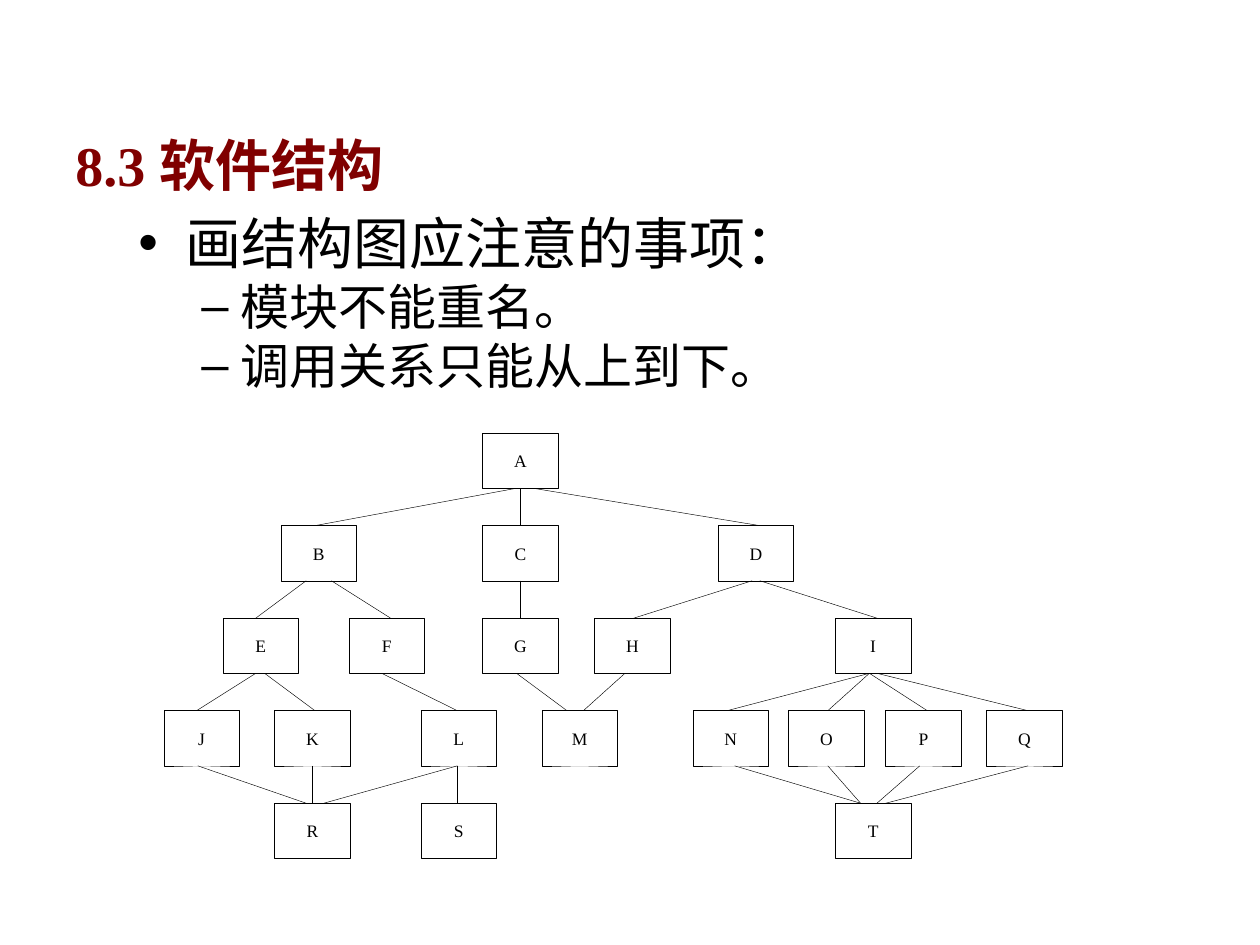
from lxml.etree import SubElement
from pptx import Presentation
from pptx.dml.color import RGBColor
from pptx.enum.shapes import MSO_CONNECTOR, MSO_SHAPE
from pptx.enum.text import MSO_ANCHOR, PP_ALIGN
from pptx.oxml.ns import qn
from pptx.util import Inches, Pt

# Content
TITLE = "8.3 软件结构"
POINTS = [  # text, level
    ("画结构图应注意的事项：", 0),
    ("模块不能重名。", 1),
    ("调用关系只能从上到下。", 1),
]
LEVELS = [  # all sizes and indents in points
    {"bullet": "•", "size": 32, "margin": 27, "hang": 27, "before": 8},
    {"bullet": "–", "size": 28, "margin": 58.5, "hang": 22.5, "before": 7},
]
MODULE_ROWS = [  # name: left edge, one dict for each row of the chart
    {"A": 3.83},
    {"B": 2.23, "C": 3.83, "D": 5.7},
    {"E": 1.77, "F": 2.77, "G": 3.83, "H": 4.72, "I": 6.63},
    {"J": 1.3, "K": 2.18, "L": 3.34, "M": 4.3,
     "N": 5.5, "O": 6.26, "P": 7.03, "Q": 7.83},
    {"R": 2.18, "S": 3.34, "T": 6.63},
]
CALLS = [  # caller row: (x under the caller, x above the called module)
    [(4.1, 2.5), (4.13, 4.13), (4.23, 6.03)],
    [(2.43, 2.03), (2.63, 3.1), (4.13, 4.13), (5.97, 5.03), (6.03, 6.96)],
    [(2.03, 1.56), (2.1, 2.5), (3.03, 3.63), (4.1, 4.5), (4.96, 4.63),
     (6.9, 5.77), (6.9, 6.57), (6.9, 7.36), (6.96, 8.16)],
    [(1.57, 2.43), (2.48, 2.48), (3.63, 2.57), (3.63, 3.63),
     (5.83, 6.83), (6.57, 6.83), (7.3, 6.96), (8.16, 7.03)],
]

# Style and grid
COLORS = {"title": "800000", "ink": "000000", "paper": "FFFFFF"}
BODY_FONT, SERIF_FONT = "Calibri", "Times New Roman"
BOX_WIDTH, BOX_HEIGHT = 0.6, 7 / 16
CHART_TOP, CHART_BOTTOM = 55 / 16, 109 / 16
ROW_STEP = (CHART_BOTTOM - CHART_TOP - BOX_HEIGHT) / (len(MODULE_ROWS) - 1)
LINE_WIDTH = 0.25


def row_top(row):
    return CHART_TOP + row * ROW_STEP


def color(name):
    return RGBColor.from_string(COLORS[name])


def add_span(para, text, size, font, ink="ink", bold=False):
    span = para.add_run()
    span.text = text
    span.font.size = Pt(size)
    span.font.name = font
    span.font.bold = bold
    span.font.color.rgb = color(ink)


def add_text_box(page, left, top, width, height, anchor):
    box = page.shapes.add_textbox(*map(Inches, (left, top, width, height)))
    frame = box.text_frame
    frame.word_wrap = True
    frame.vertical_anchor = anchor
    return frame


def set_bullet(para, level):
    properties = para._p.get_or_add_pPr()
    properties.set("marL", str(Pt(level["margin"])))
    properties.set("indent", str(-Pt(level["hang"])))
    bullet_color = SubElement(properties, qn("a:buClr"))
    SubElement(bullet_color, qn("a:srgbClr"), val=COLORS["ink"])
    SubElement(properties, qn("a:buFont"), typeface="Arial")
    SubElement(properties, qn("a:buChar"), char=level["bullet"])


def add_call(page, row, start, end):
    line = page.shapes.add_connector(
        MSO_CONNECTOR.STRAIGHT,
        Inches(start), Inches(row_top(row) + BOX_HEIGHT),
        Inches(end), Inches(row_top(row + 1)))
    line.line.width = Pt(LINE_WIDTH)
    line.line.color.rgb = color("ink")
    SubElement(line._element.spPr, qn("a:effectLst"))


def add_module(page, name, left, row):
    box = page.shapes.add_shape(
        MSO_SHAPE.RECTANGLE, Inches(left), Inches(row_top(row)),
        Inches(BOX_WIDTH), Inches(BOX_HEIGHT))
    box.shadow.inherit = False
    box.fill.solid()
    box.fill.fore_color.rgb = color("paper")
    box.line.width = Pt(LINE_WIDTH)
    box.line.color.rgb = color("ink")
    box.text_frame.vertical_anchor = MSO_ANCHOR.MIDDLE
    para = box.text_frame.paragraphs[0]
    para.alignment = PP_ALIGN.CENTER
    add_span(para, name, 10, SERIF_FONT)


def main():
    deck = Presentation()
    deck.slide_width, deck.slide_height = Inches(10), Inches(7.5)
    page = deck.slides.add_slide(deck.slide_layouts[6])

    # Bulleted points
    outline = add_text_box(page, 1, 1.71, 9, 1.6, MSO_ANCHOR.TOP)
    for index, (text, depth) in enumerate(POINTS):
        para = outline.add_paragraph() if index else outline.paragraphs[0]
        level = LEVELS[depth]
        set_bullet(para, level)
        para.level = depth
        para.line_spacing = 0.8
        if index:
            para.space_before = Pt(level["before"])
        add_span(para, text, level["size"], BODY_FONT)

    # Title
    title = add_text_box(page, 0.5, 0.77, 9, 0.85, MSO_ANCHOR.BOTTOM)
    add_span(title.paragraphs[0], TITLE, 32, SERIF_FONT, "title", True)

    # Structure chart
    for row, modules in enumerate(MODULE_ROWS):
        for name, left in modules.items():
            add_module(page, name, left, row)
    for row, calls in enumerate(CALLS):
        for start, end in calls:
            add_call(page, row, start, end)

    deck.save("out.pptx")


if __name__ == "__main__":
    main()
